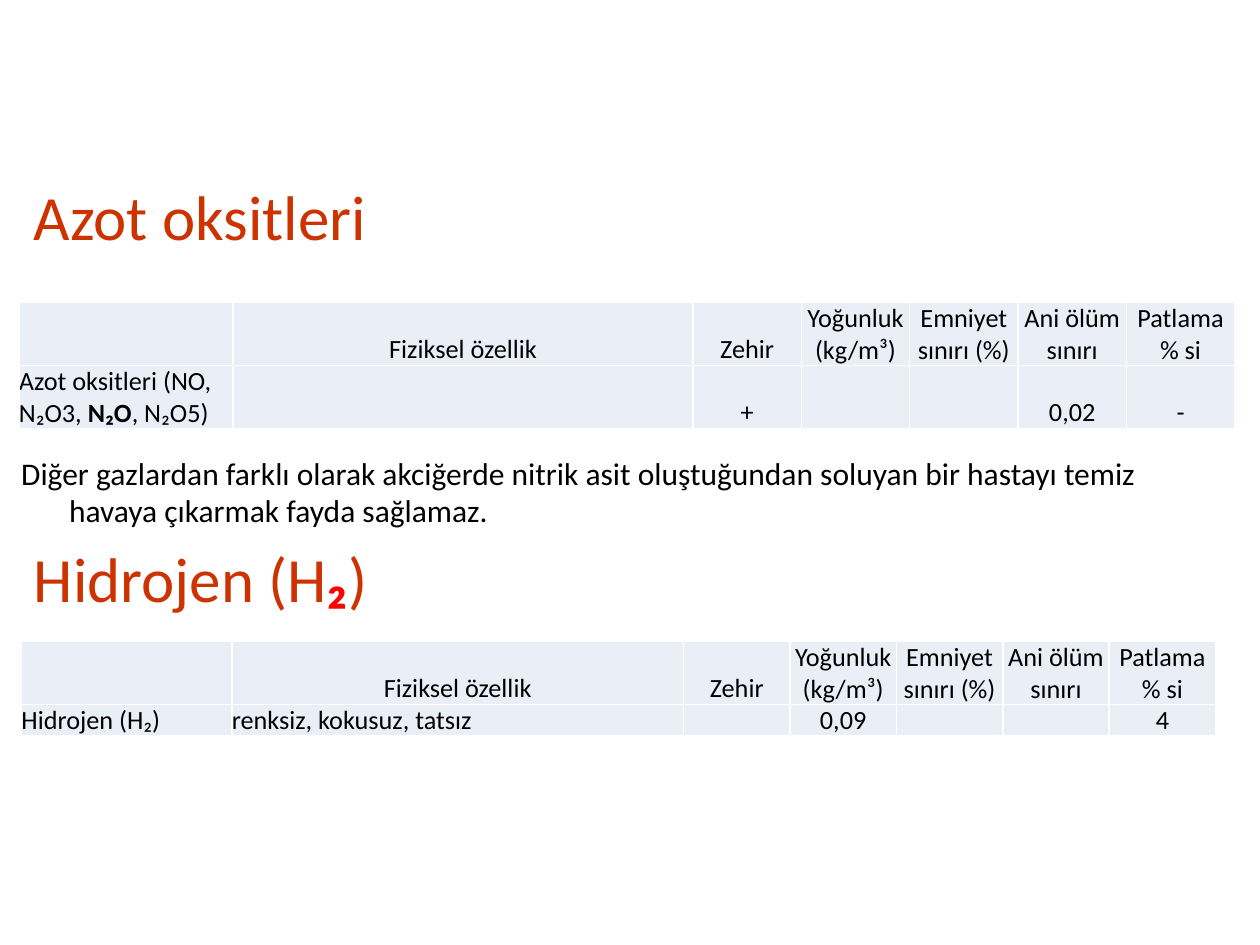
from lxml import etree
from pptx import Presentation
from pptx.dml.color import RGBColor
from pptx.enum.text import MSO_ANCHOR as Anchor, PP_ALIGN as Align
from pptx.oxml import parse_xml
from pptx.oxml.ns import nsdecls, qn
from pptx.util import Inches, Pt

WIDTH, HEIGHT = 10, 7.5
FONT = "Calibri"
BLACK, WHITE, RUST, RED, PALE = "000000", "FFFFFF", "CC3300", "FF0000", "EAEFF7"
COLUMN_WEIGHTS = [17, 36.5] + [8.6] * 5
HEADER = ["", "Fiziksel özellik", "Zehir", "Yoğunluk (kg/m³)",
          "Emniyet sınırı (%)", "Ani ölüm sınırı", "Patlama % si"]
LINE = 0.25  # height of one table text line, inches


def color(value):
    return RGBColor.from_string(value)


def add_run(p, text, size, fill=BLACK, bold=False):
    r = p.add_run()
    r.text = text
    r.font.name, r.font.size, r.font.bold = FONT, Pt(size), bold
    r.font.color.rgb = color(fill)


def add_text(s, left, top, width, height, anchor):
    """Empty text box; returns its first paragraph."""
    box = s.shapes.add_textbox(*map(Inches, (left, top, width, height)))
    tf = box.text_frame
    tf.word_wrap, tf.vertical_anchor = True, anchor
    return tf.paragraphs[0]


def add_heading(s, top, runs):
    p = add_text(s, 0.17, top, 0.9 * WIDTH, 0.56, Anchor.MIDDLE)
    for text, fill, bold in runs:
        add_run(p, text, 36, fill, bold)
    return p


def set_borders(cell):
    pr = cell._tc.get_or_add_tcPr()
    for i, side in enumerate(("lnL", "lnR", "lnT", "lnB")):
        pr.insert(i, parse_xml(
            f'<a:{side} {nsdecls("a")} w="12700"><a:solidFill>'
            f'<a:srgbClr val="{WHITE}"/></a:solidFill></a:{side}>'))


def fill_cell(cell, runs, align):
    cell.margin_left = cell.margin_right = cell.margin_top = cell.margin_bottom = 0
    cell.vertical_anchor = Anchor.BOTTOM
    cell.fill.solid()
    cell.fill.fore_color.rgb = color(PALE)
    set_borders(cell)
    p = cell.text_frame.paragraphs[0]
    p.alignment = align
    for text, bold in runs:
        add_run(p, text, 15, bold=bold)
    if not runs:  # keeps an empty cell as low as its row
        etree.SubElement(p._p, qn("a:endParaRPr"), sz="1500")


def add_gas_table(s, left, top, width, values, value_lines):
    """Header row plus one gas; a value is a string or a list of (text, bold)."""
    heights = [2 * LINE, value_lines * LINE]
    frame = s.shapes.add_table(2, len(HEADER), *map(Inches, (left, top, width, sum(heights))))
    table = frame.table
    table.first_row = table.horz_banding = False
    for col, weight in zip(table.columns, COLUMN_WEIGHTS):
        col.width = Inches(width * weight / sum(COLUMN_WEIGHTS))
    for i, (row, height) in enumerate(zip((HEADER, values), heights)):
        table.rows[i].height = Inches(height)
        for j, value in enumerate(row):
            if isinstance(value, str):
                value = [(value, False)] if value else []
            align = Align.LEFT if i and j < 2 else Align.CENTER
            fill_cell(table.cell(i, j), value, align)


def main():
    prs = Presentation()
    prs.slide_width, prs.slide_height = Inches(WIDTH), Inches(HEIGHT)
    s = prs.slides.add_slide(prs.slide_layouts[6])

    # Headings
    add_heading(s, 1.47, [("Azot oksitleri", RUST, False)]).line_spacing = 0.9
    add_heading(s, 4.3, [("Hidrojen (H", RUST, False), ("₂", RED, True), (")", RUST, False)])

    # Note with hanging indent
    p = add_text(s, 0.07, 3.55, 9.66, 0.69, Anchor.TOP)
    pr = p._p.get_or_add_pPr()
    pr.set("marL", str(Inches(0.38)))
    pr.set("indent", str(Inches(-0.38)))
    add_run(p, "Diğer gazlardan farklı olarak akciğerde nitrik asit oluştuğundan "
               "soluyan bir hastayı temiz havaya çıkarmak fayda sağlamaz.", 18)

    # Gas tables
    oxides = [("Azot oksitleri (NO, N₂O3, ", False), ("N₂O", True), (", N₂O5)", False)]
    add_gas_table(s, 0.15, 2.4, 9.65, [oxides, "", "+", "", "", "0,02", "-"], 2)
    add_gas_table(s, 0.17, 5.09, 9.48,
                  ["Hidrojen (H₂)", "renksiz, kokusuz, tatsız", "", "0,09", "", "", "4"], 1)

    prs.save("out.pptx")


if __name__ == "__main__":
    main()
